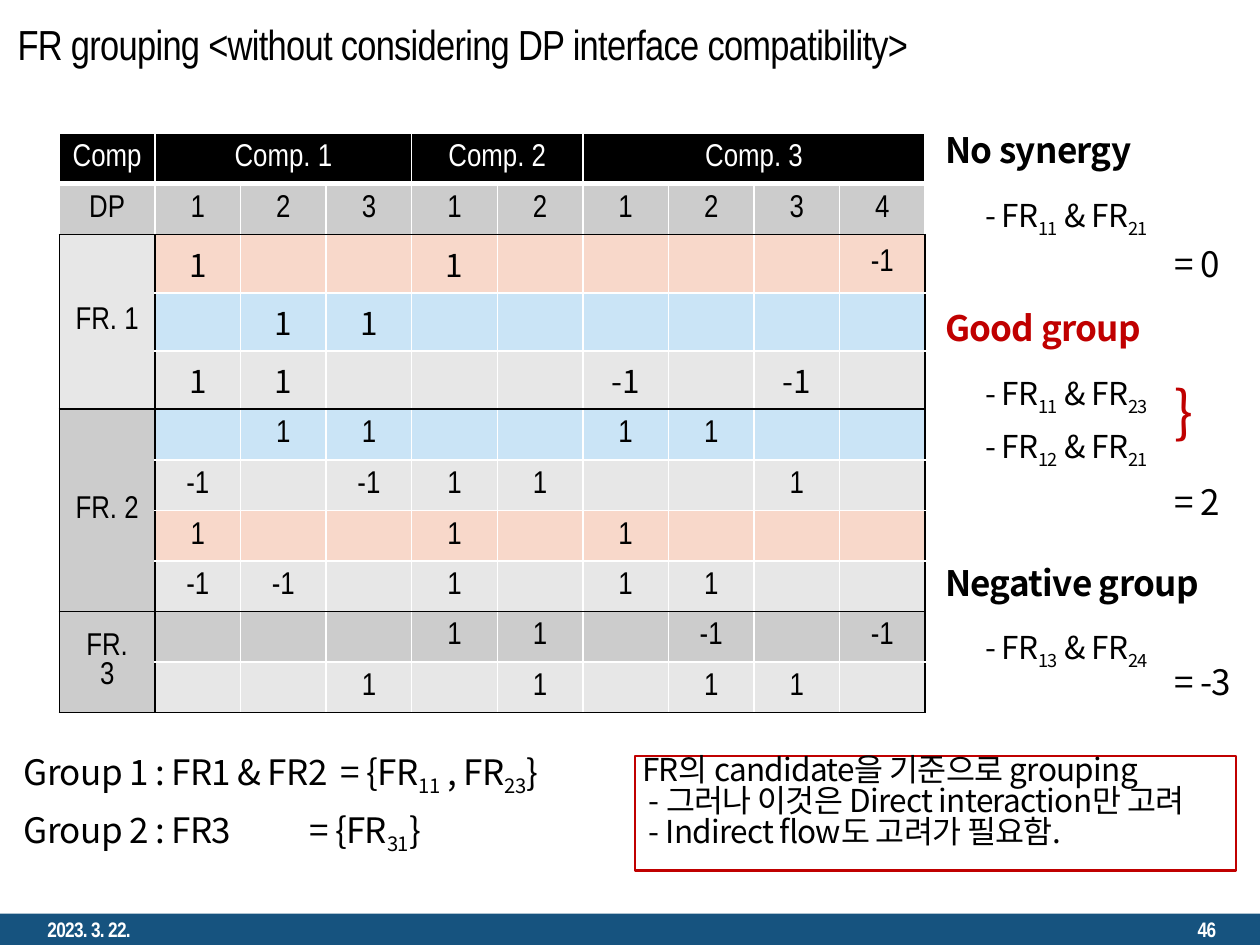
from dataclasses import dataclass

from lxml import etree
from pptx import Presentation
from pptx.dml.color import RGBColor
from pptx.enum.shapes import MSO_SHAPE
from pptx.enum.text import MSO_ANCHOR, PP_ALIGN
from pptx.oxml.ns import qn
from pptx.util import Pt

RECTANGLE = MSO_SHAPE.RECTANGLE
MIDDLE, TOP = MSO_ANCHOR.MIDDLE, MSO_ANCHOR.TOP
LEFT, CENTER, RIGHT = PP_ALIGN.LEFT, PP_ALIGN.CENTER, PP_ALIGN.RIGHT


@dataclass(frozen=True)
class Theme:
    narrow: str = "Arial Narrow"
    sans: str = "Noto Sans CJK KR"
    black: str = "000000"
    white: str = "FFFFFF"
    red: str = "C00000"
    footer: str = "16537F"
    dark: str = "CCCCCC"
    light: str = "E7E7E7"
    orange: str = "F8D8CA"
    blue: str = "CAE4F6"
    footer_size: int = 12
    body_size: int = 18
    heading_size: int = 20
    title_size: int = 24
    brace_size: int = 32
    line_spacing: float = 0.83


THEME = Theme()
COLUMN_WIDTHS = [54.7] + [48.9] * 9
ROW_HEIGHTS = [28.6, 29.1, 33.2, 33.2, 33.2, 29.1, 29.1, 24.2, 26.4, 24.4, 24.2]
COMPONENTS = [("Comp", 0, 1), ("Comp. 1", 1, 3), ("Comp. 2", 4, 2), ("Comp. 3", 6, 4)]
DP_NUMBERS = ["DP", 1, 2, 3, 1, 2, 1, 2, 3, 4]
REQUIREMENTS = [("FR. 1", THEME.light, 2, 3), ("FR. 2", THEME.dark, 5, 4), ("FR.\v3", THEME.dark, 9, 2)]
INTERACTIONS = [
    (THEME.orange, {1: 1, 4: 1, 9: -1}),
    (THEME.blue, {2: 1, 3: 1}),
    (THEME.light, {1: 1, 2: 1, 6: -1, 8: -1}),
    (THEME.blue, {2: 1, 3: 1, 6: 1, 7: 1}),
    (THEME.light, {1: -1, 3: -1, 4: 1, 5: 1, 8: 1}),
    (THEME.orange, {1: 1, 4: 1, 6: 1}),
    (THEME.light, {1: -1, 2: -1, 4: 1, 6: 1, 7: 1}),
    (THEME.dark, {4: 1, 5: 1, 7: -1, 9: -1}),
    (THEME.light, {3: 1, 5: 1, 7: 1, 8: 1}),
]


def rgb(value):
    return RGBColor.from_string(value)


def style(paragraph, size, color, face, bold=False, spacing=-40):
    font = paragraph.font
    font.size, font.name, font.bold = Pt(size), face, bold
    font.color.rgb = rgb(color)
    font._element.set("spc", str(spacing))
    etree.SubElement(font._element, qn("a:ea")).set("typeface", face)


def add_runs(paragraph, text):
    for index, part in enumerate(text.split("_")):
        run = paragraph.add_run()
        run.text = part
        if index % 2:
            run.font._element.set("baseline", "-25000")


def add_tab_stop(paragraph, position):
    tabs = etree.SubElement(paragraph._p.get_or_add_pPr(), qn("a:tabLst"))
    etree.SubElement(tabs, qn("a:tab"), pos=str(Pt(position)), algn="l")


def add_text(slide, box, text, size, color=THEME.black, face=THEME.sans, bold=False,
             align=LEFT, anchor=TOP, inset=(0, 0), wrap=False, tab=None, line_spacing=None):
    shape = slide.shapes.add_textbox(*map(Pt, box))
    frame = shape.text_frame
    frame.word_wrap, frame.vertical_anchor = wrap, anchor
    frame.margin_left = frame.margin_right = Pt(inset[0])
    frame.margin_top = frame.margin_bottom = Pt(inset[1])
    paragraph = frame.paragraphs[0]
    paragraph.alignment = align
    if line_spacing:
        paragraph.line_spacing = line_spacing
    if tab:
        add_tab_stop(paragraph, tab)
    add_runs(paragraph, text)
    style(paragraph, size, color, face, bold)


def add_rectangle(slide, box, fill=None, line=None):
    shape = slide.shapes.add_shape(RECTANGLE, *map(Pt, box))
    shape.shadow.inherit = False
    if fill:
        shape.fill.solid()
        shape.fill.fore_color.rgb = rgb(fill)
    else:
        shape.fill.background()
    if line:
        shape.line.color.rgb, shape.line.width = rgb(line), Pt(1.5)
    else:
        shape.line.fill.background()
    return shape


def set_borders(cell, left, right, top, bottom, bottom_width=1):
    properties = cell._tc.get_or_add_tcPr()
    sides = (("L", left, 1), ("R", right, 1), ("T", top, 1), ("B", bottom, bottom_width))
    for index, (side, color, width) in enumerate(sides):
        line = etree.Element(qn(f"a:ln{side}"), w=str(Pt(width)))
        fill = etree.SubElement(line, qn("a:solidFill"))
        etree.SubElement(fill, qn("a:srgbClr"), val=color)
        properties.insert(index, line)


def fill_cell(cell, text, fill, color=THEME.black, face=THEME.narrow, spacing=0):
    cell.fill.solid()
    cell.fill.fore_color.rgb = rgb(fill)
    cell.vertical_anchor = MIDDLE
    cell.margin_left = cell.margin_right = Pt(7.2 if text else 0)
    cell.margin_top = cell.margin_bottom = Pt(3.6 if text else 0)
    paragraph = cell.text_frame.paragraphs[0]
    paragraph.alignment = CENTER
    if text:
        paragraph.text = str(text)
    style(paragraph, THEME.body_size, color, face, spacing=spacing)


def add_matrix(slide):
    frame = slide.shapes.add_table(len(ROW_HEIGHTS), len(COLUMN_WIDTHS), Pt(33.9), Pt(76.2),
                                   Pt(sum(COLUMN_WIDTHS)), Pt(sum(ROW_HEIGHTS)))
    table = frame.table
    for column, width in zip(table.columns, COLUMN_WIDTHS):
        column.width = Pt(width)
    for row, height in zip(table.rows, ROW_HEIGHTS):
        row.height = Pt(height)

    white, black = THEME.white, THEME.black
    for text, column, span in COMPONENTS:
        fill_cell(table.cell(0, column), text, black, white)
        for offset in range(span):
            set_borders(table.cell(0, column + offset), white, white, white, white, 3)
        if span > 1:
            table.cell(0, column).merge(table.cell(0, column + span - 1))
    for column, text in enumerate(DP_NUMBERS):
        fill_cell(table.cell(1, column), text, THEME.dark)
        set_borders(table.cell(1, column), white, white, white, black)

    starts = [start for _, _, start, _ in REQUIREMENTS]
    ends = [start + span for _, _, start, span in REQUIREMENTS]
    for row, (fill, values) in enumerate(INTERACTIONS, 2):
        for column in range(1, 10):
            cell = table.cell(row, column)
            wide = row < 5 and column < 9
            fill_cell(cell, values.get(column), fill, face=THEME.sans if wide else THEME.narrow,
                      spacing=-40 if wide else 0)
            set_borders(cell, black if column == 1 else white, black if column == 9 else white,
                        black if row in starts else white, black if row + 1 in ends else white)
    for text, fill, start, span in REQUIREMENTS:
        cell = table.cell(start, 0)
        fill_cell(cell, text, fill)
        for row in range(start, start + span):
            set_borders(table.cell(row, 0), black, black, black, black)
        cell.merge(table.cell(start + span - 1, 0))
        cell._tc.tcPr.set("vert", "eaVert")


def add_group(slide, top, heading, pairs, result, result_top, color=THEME.black):
    add_text(slide, (540, top, 146, 24.5), heading, THEME.heading_size, color, bold=True,
             line_spacing=THEME.line_spacing)
    for index, (first, second) in enumerate(pairs):
        add_text(slide, (563, top + 36 + 30.2 * index, 104, 21.6),
                 f"- FR_{first}_ & FR_{second}", THEME.body_size, line_spacing=THEME.line_spacing)
    add_text(slide, (671, result_top, 39, 24.5), result, THEME.heading_size,
             line_spacing=THEME.line_spacing)


def add_note(slide):
    frame = add_rectangle(slide, (362.9, 432, 343.4, 65.5), line=THEME.red).text_frame
    frame.word_wrap, frame.vertical_anchor = True, TOP
    frame.margin_left = frame.margin_right = frame.margin_top = frame.margin_bottom = 0
    lines = [("FR의 candidate을 기준으로 grouping", 4),
             ("- 그러나 이것은 Direct interaction만 고려", 8),
             ("- Indirect flow도 고려가 필요함.", 8)]
    for index, (text, indent) in enumerate(lines):
        paragraph = frame.add_paragraph() if index else frame.paragraphs[0]
        paragraph.text, paragraph.alignment = text, LEFT
        paragraph.line_spacing = THEME.line_spacing
        paragraph._p.get_or_add_pPr().set("marL", str(Pt(indent)))
        style(paragraph, THEME.body_size, THEME.black, THEME.sans)


def add_footer(slide):
    add_rectangle(slide, (0, 522, 720, 18), THEME.footer)
    for left, text, align in ((20, "2023. 3. 22.", LEFT), (540, "46", RIGHT)):
        add_text(slide, (left, 522, 162, 18), text, THEME.footer_size, THEME.white, THEME.narrow,
                 True, align, MIDDLE, (7.2, 3.6), True)


def main():
    presentation = Presentation()
    presentation.slide_width, presentation.slide_height = Pt(720), Pt(540)
    slide = presentation.slides.add_slide(presentation.slide_layouts[6])
    add_footer(slide)
    add_text(slide, (3, 2, 737, 46), "FR grouping <without considering DP interface compatibility>",
             THEME.title_size, face=THEME.narrow, anchor=MIDDLE, inset=(7.2, 3.6), wrap=True)
    add_matrix(slide)
    add_group(slide, 77.8, "No synergy", [(11, 21)], "= 0", 142.6)
    add_group(slide, 179.3, "Good group", [(11, 23), (12, 21)], "= 2", 278.6, THEME.red)
    add_group(slide, 324.7, "Negative group", [(13, 24)], "= -3", 381.6)
    add_text(slide, (671, 221.8, 9.4, 39), "}", THEME.brace_size, THEME.red,
             line_spacing=THEME.line_spacing)
    add_text(slide, (13.7, 430.6, 316, 24.5), "Group 1 : FR1 & FR2\t= {FR_11_ , FR_23_}",
             THEME.heading_size, tab=181, line_spacing=THEME.line_spacing)
    add_text(slide, (13.7, 463.7, 270, 24.5), "Group 2 : FR3\t= {FR_31_}",
             THEME.heading_size, tab=163, line_spacing=THEME.line_spacing)
    add_note(slide)
    presentation.save("out.pptx")


if __name__ == "__main__":
    main()
